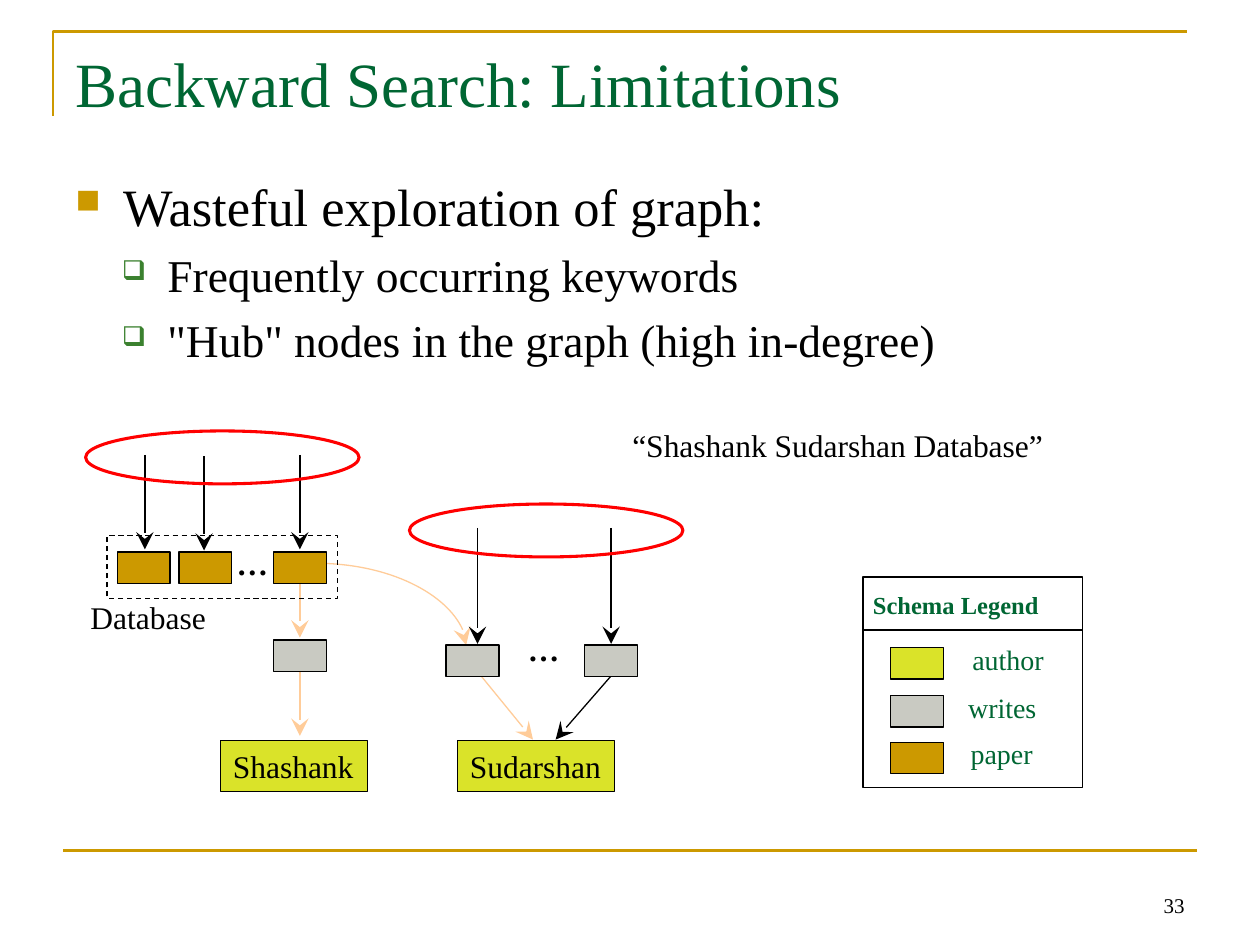
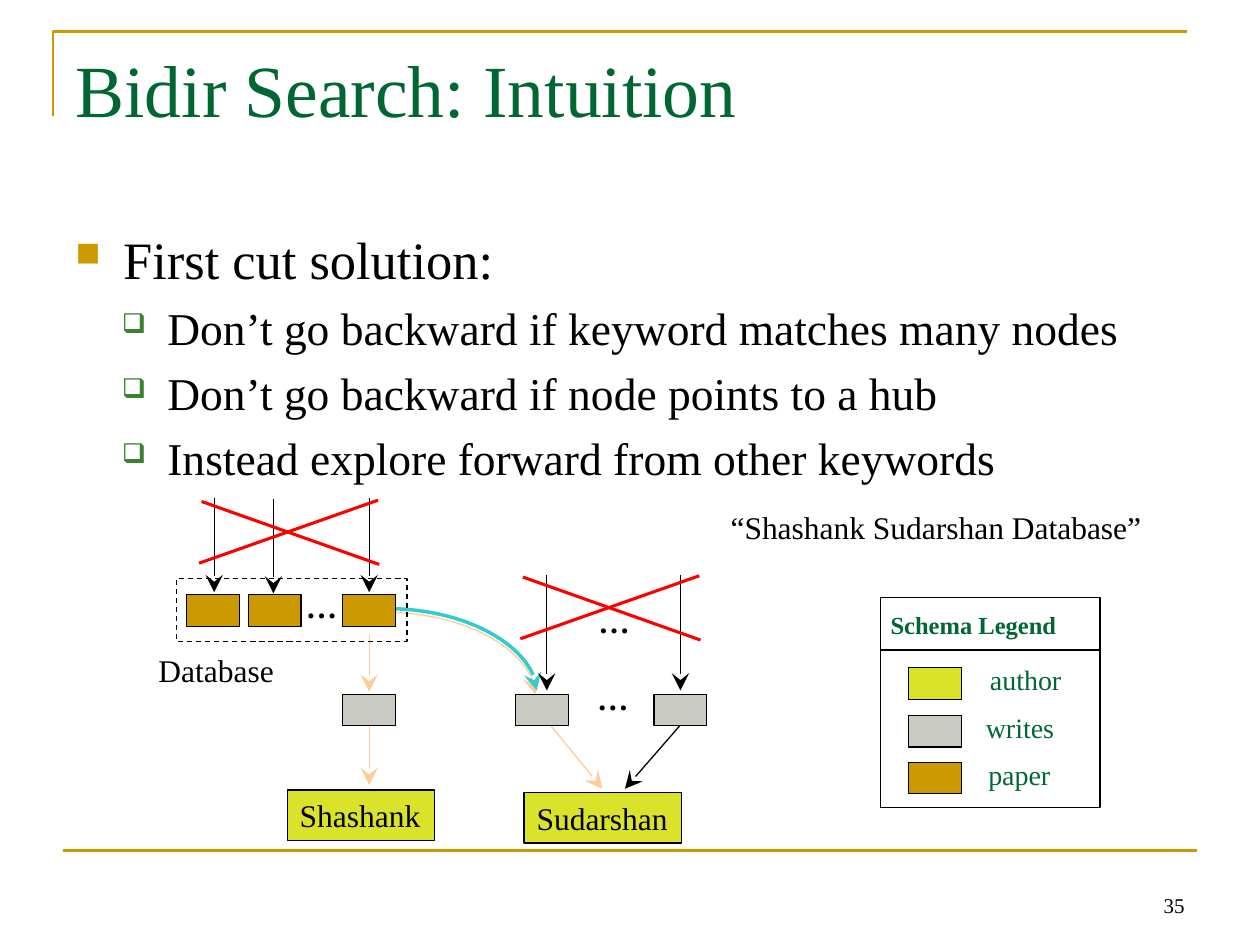
from dataclasses import dataclass

from lxml import etree
from pptx import Presentation
from pptx.dml.color import RGBColor
from pptx.enum.dml import MSO_LINE
from pptx.enum.shapes import MSO_CONNECTOR, MSO_SHAPE
from pptx.enum.text import MSO_ANCHOR, PP_ALIGN
from pptx.oxml.ns import qn
from pptx.util import Emu, Pt

PX = 9144  # EMU in one px, 100 px to the inch
FONT = "Times New Roman"

BLACK = RGBColor(0x00, 0x00, 0x00)
GREEN = RGBColor(0x00, 0x66, 0x33)
GOLD = RGBColor(0xCC, 0x99, 0x00)
LIME = RGBColor(0xDA, 0xE3, 0x29)
GRAY = RGBColor(0xC9, 0xCA, 0xC2)
PEACH = RGBColor(0xFF, 0xCC, 0x99)
TEAL = RGBColor(0x33, 0xCC, 0xCC)
RED = RGBColor(0xFF, 0x00, 0x00)
BULLET_GREEN = RGBColor(0x3B, 0x81, 0x2F)

RECT, OVAL = MSO_SHAPE.RECTANGLE, MSO_SHAPE.OVAL
STRAIGHT, CURVE = MSO_CONNECTOR.STRAIGHT, MSO_CONNECTOR.CURVE
LEFT, CENTER, RIGHT = PP_ALIGN.LEFT, PP_ALIGN.CENTER, PP_ALIGN.RIGHT
TOP, BOTTOM = MSO_ANCHOR.TOP, MSO_ANCHOR.BOTTOM

Point = tuple[int, int]


@dataclass(frozen=True)
class BulletLevel:
    size: int
    margin: int
    hang: int
    char: str
    color: RGBColor
    percent: int


@dataclass(frozen=True)
class Label:
    text: str
    x: int
    y: int
    w: int


@dataclass(frozen=True)
class SearchSlide:
    number: int
    title: str
    title_size: int
    body_top: int
    bullets: list[str]  # the first is the heading, the rest are its points
    papers: Point       # offsets of the parts of the graph
    hubs: Point
    writes: Point
    link_y: int         # top of the node between paper and Shashank
    database: Point
    keywords: list[Label]
    query: Point
    legend: Point


HEADING = BulletLevel(30, 38, 38, "■", GOLD, 65)
POINT = BulletLevel(26, 73, 36, "❑", BULLET_GREEN, 60)

LIMITATIONS = SearchSlide(
    33, "Backward Search: Limitations", 36, 133,
    ["Wasteful exploration of graph:", "Frequently occurring keywords",
     '"Hub" nodes in the graph (high in-degree)'],
    papers=(0, 0), hubs=(0, 0), writes=(0, 0), link_y=508, database=(62, 470),
    keywords=[Label("Shashank", 175, 588, 117), Label("Sudarshan", 363, 588, 125)],
    query=(492, 333), legend=(685, 458))

INTUITION = SearchSlide(
    35, "Bidir Search: Intuition", 42, 175,
    ["First cut solution:", "Don’t go backward if keyword matches many nodes",
     "Don’t go backward if node points to a hub",
     "Instead explore forward from other keywords"],
    papers=(55, 34), hubs=(55, 37), writes=(55, 39), link_y=551, database=(116, 512),
    keywords=[Label("Shashank", 228, 627, 117), Label("Sudarshan", 416, 629, 125)],
    query=(570, 398), legend=(699, 474))


def px(*lengths: int) -> list[Emu]:
    return [Emu(n * PX) for n in lengths]


def format_text(tf, size: int, color: RGBColor = BLACK, bold: bool = False,
                align=LEFT) -> None:
    for p in tf.paragraphs:
        p.alignment = align
        for r in p.runs:
            r.font.name, r.font.size, r.font.bold = FONT, Pt(size), bold
            r.font.color.rgb = color


def add_text(s, text: str, x: int, y: int, w: int, h: int, size: int,
             color: RGBColor = BLACK, bold: bool = False, align=LEFT,
             wrap: bool = False, anchor=TOP) -> None:
    tf = s.shapes.add_textbox(*px(x, y, w, h)).text_frame
    tf.text = text
    tf.word_wrap, tf.vertical_anchor = wrap, anchor
    format_text(tf, size, color, bold, align)


def add_ellipsis(s, x: int, y: int) -> None:
    add_text(s, "…", x, y, 45, 40, 18, bold=True)


def add_box(s, x: int, y: int, w: int, h: int, fill: RGBColor | None = None,
            line: RGBColor = BLACK, width: float = 0.75, kind=RECT):
    sp = s.shapes.add_shape(kind, *px(x, y, w, h))
    sp.shadow.inherit = False
    if fill is None:
        sp.fill.background()
    else:
        sp.fill.solid()
        sp.fill.fore_color.rgb = fill
    sp.line.color.rgb, sp.line.width = line, Pt(width)
    return sp


def add_node(s, x: int, y: int, fill: RGBColor) -> None:
    add_box(s, x, y, 42, 25, fill)


def add_line(s, x1: int, y1: int, x2: int, y2: int, color: RGBColor = BLACK,
             width: float = 0.75, kind=STRAIGHT, arrow: bool = False) -> None:
    cxn = s.shapes.add_connector(kind, *px(x1, y1, x2, y2))
    cxn.line.color.rgb, cxn.line.width = color, Pt(width)
    sp_pr = cxn._element.spPr
    if kind == CURVE:  # a single bend: leaves sideways, arrives downwards
        sp_pr.find(qn("a:prstGeom")).set("prst", "curvedConnector2")
    if arrow:
        etree.SubElement(sp_pr.find(qn("a:ln")), qn("a:tailEnd"),
                         type="stealth", w="lg", len="lg")
    etree.SubElement(sp_pr, qn("a:effectLst"))


def add_arrow(s, x1: int, y1: int, x2: int, y2: int, color: RGBColor = BLACK,
              width: float = 0.75, kind=STRAIGHT) -> None:
    add_line(s, x1, y1, x2, y2, color, width, kind, arrow=True)


def set_bullet(p, level: BulletLevel) -> None:
    p.space_before = Pt(level.size * 0.23)
    p_pr = p._p.get_or_add_pPr()
    p_pr.set("marL", str(level.margin * PX))
    p_pr.set("indent", str(-level.hang * PX))
    color = etree.SubElement(p_pr, qn("a:buClr"))
    etree.SubElement(color, qn("a:srgbClr"), val=str(level.color))
    etree.SubElement(p_pr, qn("a:buSzPct"), val=str(level.percent * 1000))
    etree.SubElement(p_pr, qn("a:buChar"), char=level.char)


def add_frame(s, number: int) -> None:
    # Corner rule, bottom rule and slide number
    corner = s.shapes.build_freeform(42, 92, scale=PX)
    corner.add_line_segments([(42, 25), (942, 25)], close=False)
    sp = corner.convert_to_shape()
    sp.shadow.inherit = False
    sp.fill.background()
    sp.line.color.rgb, sp.line.width = GOLD, Pt(1.5)
    add_line(s, 50, 675, 950, 675, GOLD, 1.5)
    add_text(s, str(number), 717, 683, 233, 50, 12, align=RIGHT, wrap=True, anchor=BOTTOM)


def add_title(s, title: str, size: int) -> None:
    sp = s.shapes.title
    sp.left, sp.top, sp.width, sp.height = px(50, 30, 900, 125)
    tf = sp.text_frame
    tf.text = title
    tf.vertical_anchor = TOP
    format_text(tf, size, GREEN)


def add_body(s, top: int, bullets: list[str]) -> None:
    tf = s.shapes.add_textbox(*px(50, top, 900, 495)).text_frame
    tf.word_wrap = True
    for i, text in enumerate(bullets):
        p = tf.add_paragraph() if i else tf.paragraphs[0]
        p.text = text
        level = POINT if i else HEADING
        set_bullet(p, level)
        for r in p.runs:
            r.font.name, r.font.size = FONT, Pt(level.size)
            r.font.color.rgb = BLACK


def add_legend(s, x: int, y: int) -> None:
    add_box(s, x, y, 174, 167)
    add_line(s, x, y + 42, x + 174, y + 42)
    add_text(s, "Schema Legend", x - 2, y + 5, 153, 34, 14, GREEN, bold=True)
    rows = [("author", LIME, 76, 78), ("writes", GRAY, 73, 75), ("paper", GOLD, 75, 70)]
    for i, (name, color, dx, w) in enumerate(rows):
        row_y = y + 47 + round(i * 37.5)
        add_text(s, name, x + dx, row_y, w, 37, 16, GREEN, align=CENTER)
        add_node(s, x + 22, row_y + 9, color)


def add_graph(s, d: SearchSlide) -> None:
    # Edges from writes nodes to the keyword nodes
    x, y = d.writes
    link_x = 238 + x
    add_arrow(s, link_x, d.link_y - 48, link_x, d.link_y - 2, PEACH)
    add_arrow(s, link_x, d.link_y + 24, link_x, d.keywords[0].y - 4, PEACH)
    add_arrow(s, 379 + x, 533 + y, 423 + x, 587 + y, PEACH)
    add_arrow(s, 488 + x, 533 + y, 441 + x, 587 + y)
    add_arrow(s, 250 + x, 447 + y, 370 + x, 512 + y, PEACH, kind=CURVE)
    if d is INTUITION:
        add_arrow(s, 306, 483, 426, 548, TEAL, 2, CURVE)

    # Writes nodes and the edges that come into them
    hub_x, hub_y = d.hubs
    for arrow_x in (379, 485):
        add_arrow(s, arrow_x + hub_x, 419 + hub_y, arrow_x + hub_x, 511 + hub_y)
    add_node(s, 217 + x, d.link_y, GRAY)
    for node_x in (354, 464):
        add_node(s, node_x + x, 512 + y, GRAY)
    add_ellipsis(s, 409 + x, 495 + y)

    # Paper nodes matching "Database"
    x, y = d.papers
    add_box(s, 85 + x, 425 + y, 183, 50).line.dash_style = MSO_LINE.DASH
    for node_x, arrow_x, drop in ((93, 115, 0), (142, 162, 1), (217, 238, 0)):
        add_arrow(s, arrow_x + x, 361 + drop + y, arrow_x + x, 436 + drop + y)
        add_node(s, node_x + x, 438 + y, GOLD)
    add_ellipsis(s, 178 + x, 427 + y)
    add_text(s, "Database", *d.database, 113, 40, 18)

    # Author nodes
    for k in d.keywords:
        tf = add_box(s, k.x, k.y, k.w, 40, LIME).text_frame
        tf.text = k.text
        tf.word_wrap = False
        format_text(tf, 18)


def add_search_slide(prs, d: SearchSlide):
    s = prs.slides.add_slide(prs.slide_layouts[5])
    add_frame(s, d.number)
    add_title(s, d.title, d.title_size)
    add_body(s, d.body_top, d.bullets)
    add_graph(s, d)
    add_text(s, "“Shashank Sudarshan Database”", *d.query, 350, 40, 18)
    add_legend(s, *d.legend)
    return s


def main() -> None:
    prs = Presentation()
    prs.slide_width, prs.slide_height = px(1000, 750)

    # Limitations: wasteful fan-in is circled
    s = add_search_slide(prs, LIMITATIONS)
    for x, y in ((68, 342), (325, 400)):
        add_box(s, x, y, 217, 42, line=RED, width=1.75, kind=OVAL)

    # Intuition: the same fan-in is crossed out
    s = add_search_slide(prs, INTUITION)
    add_ellipsis(s, 465, 473)
    for x, y in ((160, 398), (415, 458)):
        add_line(s, x, y, x + 141, y + 50, RED, 1.75)
        add_line(s, x - 2, y + 49, x + 140, y - 1, RED, 1.75)

    prs.save("out.pptx")


if __name__ == "__main__":
    main()
